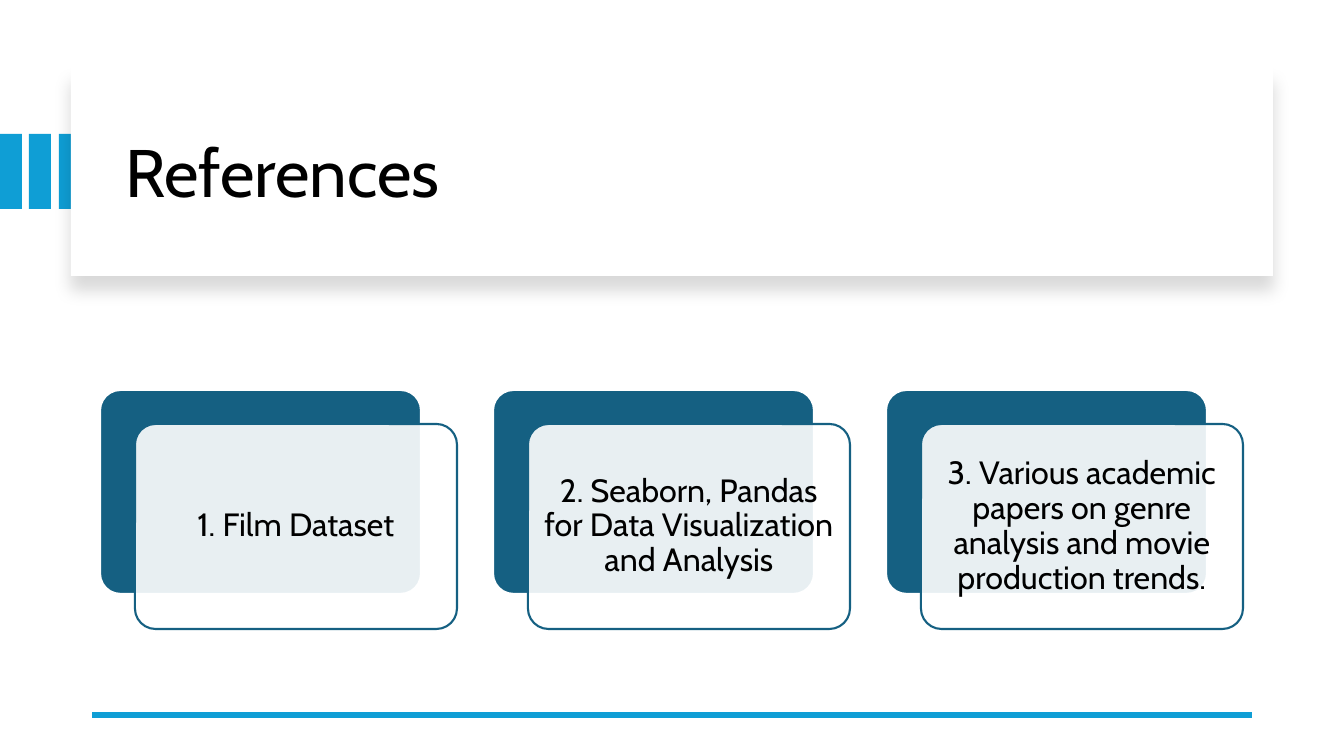
from lxml.etree import SubElement
from pptx import Presentation
from pptx.dml.color import RGBColor
from pptx.enum.shapes import MSO_CONNECTOR as CONN, MSO_SHAPE as SHAPE
from pptx.enum.text import MSO_ANCHOR as ANCHOR, PP_ALIGN as ALIGN
from pptx.oxml.ns import qn
from pptx.util import Emu, Pt

COLORS = {"accent": "0F9ED5", "card": "156082", "white": "FFFFFF", "black": "000000"}
REFERENCES = [
    "1. Film Dataset",
    "2. Seaborn, Pandas for Data Visualization and Analysis",
    "3. Various academic papers on genre analysis and movie production trends.",
]


def px(n):
    return Emu(round(n * 914400 / 100.8))


def rgb(name):
    return RGBColor.from_string(COLORS[name])


class Deck:
    font = "Cabin"

    def __init__(self):
        self.prs = Presentation()
        self.prs.slide_width, self.prs.slide_height = px(1344), px(756)
        self.s = self.prs.slides.add_slide(self.prs.slide_layouts[6])

    def box(self, x, y, w, h, fill, line=None, kind=SHAPE.RECTANGLE, opacity=100):
        sp = self.s.shapes.add_shape(kind, px(x), px(y), px(w), px(h))
        sp.shadow.inherit = False
        sp.fill.solid()
        sp.fill.fore_color.rgb = rgb(fill)
        if opacity < 100:
            color = sp.fill._xPr.find(qn("a:solidFill"))[0]
            SubElement(color, qn("a:alpha"), val=str(opacity * 1000))
        if line:
            sp.line.color.rgb = rgb(line)
            sp.line.width = Pt(1.5)
        else:
            sp.line.fill.background()
        if kind == SHAPE.ROUNDED_RECTANGLE:
            sp.adjustments[0] = 0.1
        return sp

    def drop_shadow(self, sp, color, opacity, blur, distance):
        effects = sp._element.spPr.find(qn("a:effectLst"))
        shadow = SubElement(effects, qn("a:outerShdw"), blurRad=str(Pt(blur)),
                            dist=str(Pt(distance)), dir="5400000",
                            algn="t", rotWithShape="0")
        tint = SubElement(shadow, qn("a:srgbClr"), val=COLORS[color])
        SubElement(tint, qn("a:alpha"), val=str(opacity * 1000))

    def text(self, x, y, w, h, words, size, align=ALIGN.LEFT):
        tf = self.s.shapes.add_textbox(px(x), px(y), px(w), px(h)).text_frame
        tf.word_wrap = True
        tf.vertical_anchor = ANCHOR.MIDDLE
        tf.margin_left = tf.margin_right = px(10)
        tf.margin_top = tf.margin_bottom = px(10)
        p = tf.paragraphs[0]
        p.alignment = align
        p.line_spacing = 0.9
        r = p.add_run()
        r.text = words
        r.font.name = self.font
        r.font.size = Pt(size)
        r.font.color.rgb = rgb("black")

    def line(self, x1, y1, x2, y2, color, width):
        c = self.s.shapes.add_connector(CONN.STRAIGHT, px(x1), px(y1), px(x2), px(y2))
        c.line.color.rgb = rgb(color)
        c.line.width = Pt(width)
        SubElement(c._element.spPr, qn("a:effectLst"))

    def reference(self, x, y, words):
        rounded = SHAPE.ROUNDED_RECTANGLE
        self.box(x, y, 321, 204, "card", "white", rounded)
        self.box(x + 35, y + 34, 322, 205, "white", "card", rounded, 90)
        self.text(x + 41, y + 40, 310, 193, words, 23, ALIGN.CENTER)


def main():
    deck = Deck()
    for i in range(3):
        deck.box(59 * i // 2, 134, 22, 75, "accent")
    banner = deck.box(71, 67, 1202, 209, "white")
    deck.drop_shadow(banner, "black", 15, 11, 10)
    deck.text(115, 90, 1122, 171, "References", 48)
    deck.line(1252, 715, 92, 715, "accent", 4.5)
    for i, words in enumerate(REFERENCES):
        deck.reference(100 + 393 * i, 390, words)
    deck.prs.save("out.pptx")


if __name__ == "__main__":
    main()
